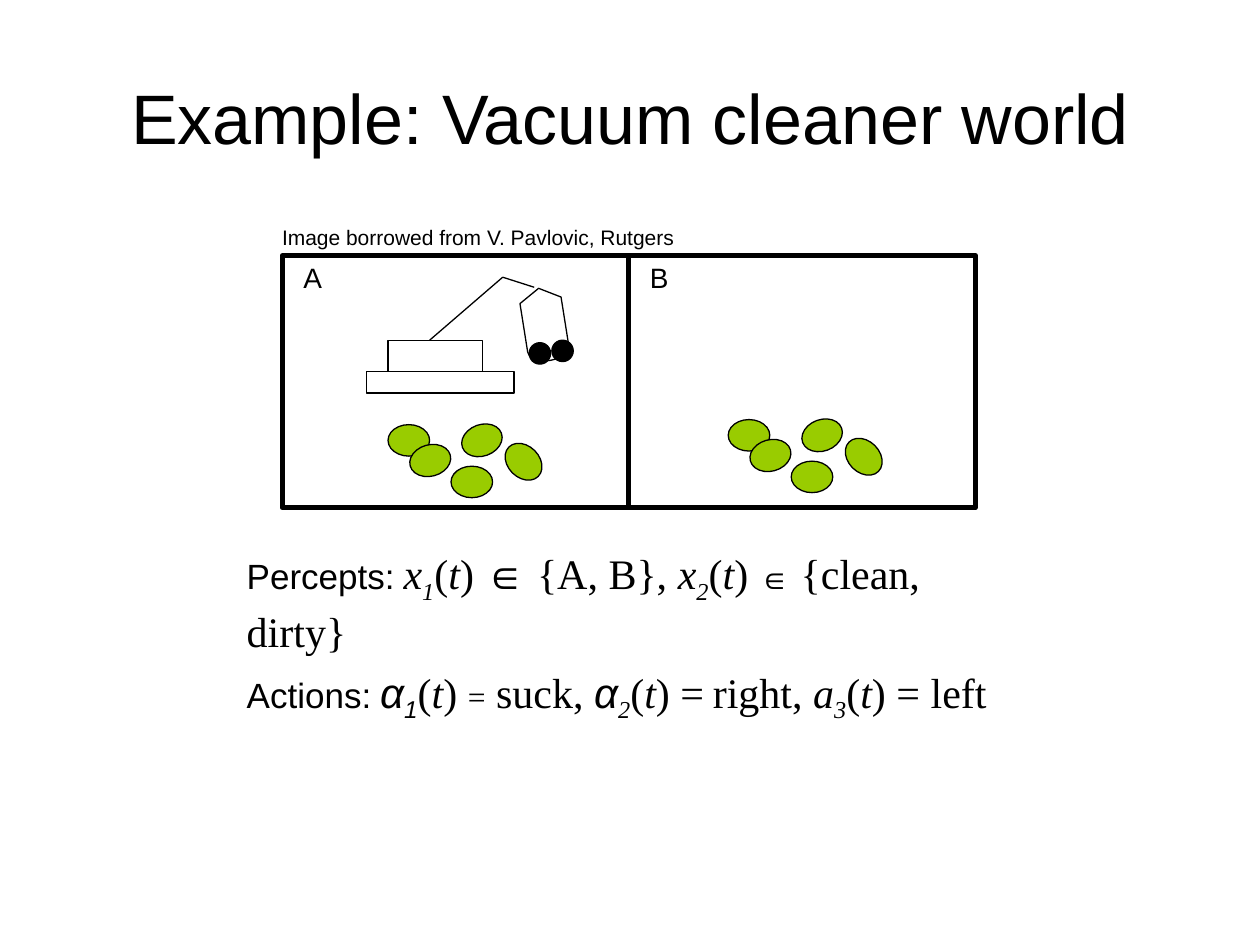
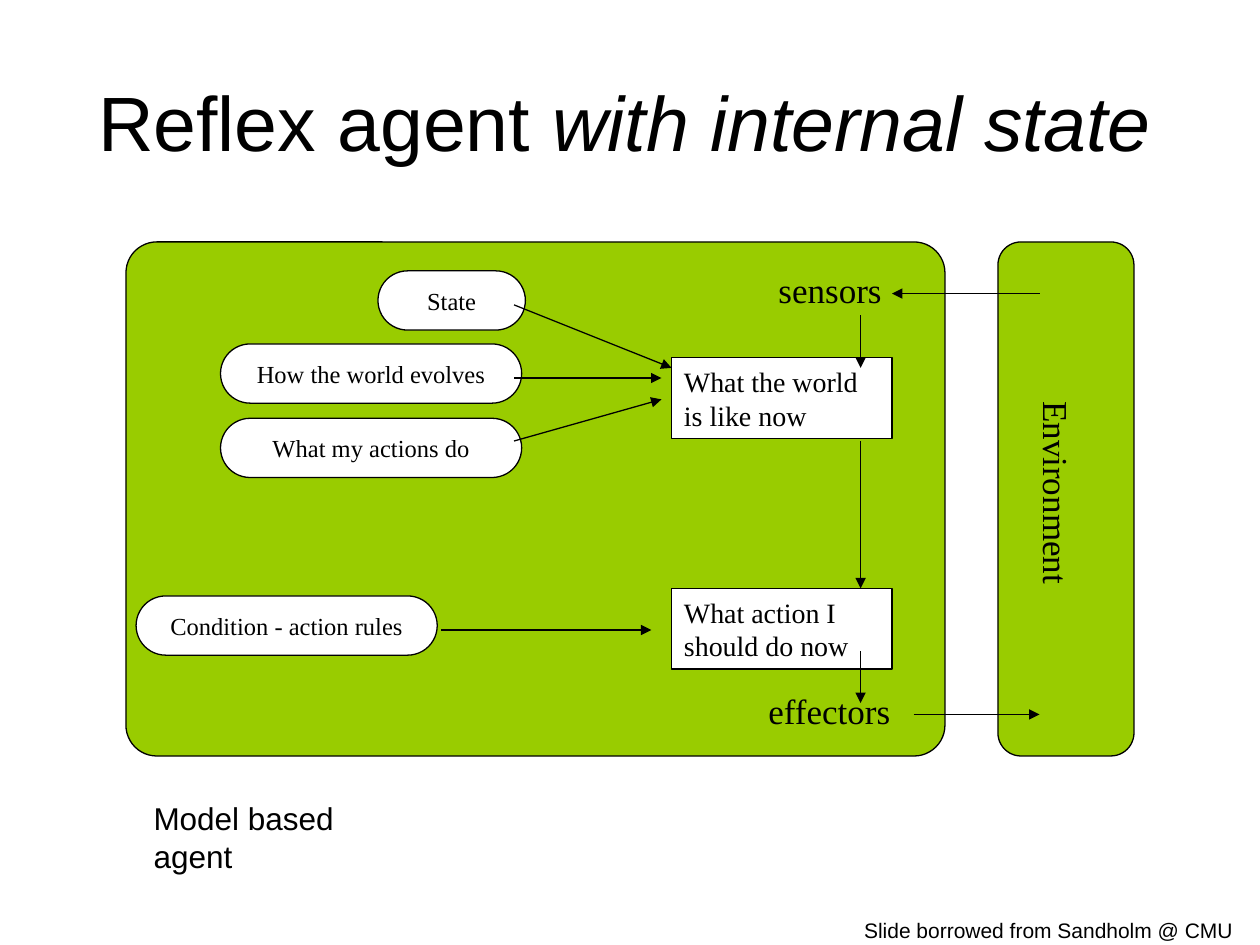
from pptx import Presentation
from pptx.dml.color import RGBColor
from pptx.enum.shapes import MSO_CONNECTOR, MSO_SHAPE
from pptx.enum.text import MSO_ANCHOR, PP_ALIGN
from pptx.oxml.ns import qn
from pptx.util import Inches, Pt
from lxml import etree

RECT = MSO_SHAPE.RECTANGLE
ROUND = MSO_SHAPE.ROUNDED_RECTANGLE
OVAL = MSO_SHAPE.OVAL
SCREEN = MSO_SHAPE.FLOWCHART_DISPLAY
STRAIGHT = MSO_CONNECTOR.STRAIGHT
MIDDLE, TOP = MSO_ANCHOR.MIDDLE, MSO_ANCHOR.TOP
LEFT, CENTER = PP_ALIGN.LEFT, PP_ALIGN.CENTER

BLACK, WHITE, GREEN = "000000", "FFFFFF", "99CC00"
SANS, SERIF = "Arial", "Times New Roman"
THIN = 0.75


def style(name, size, italic=False):
    return {"name": name, "size": Pt(size), "italic": italic}


# Run styles of the formulas
STYLES = {
    "label": style(SANS, 20),
    "gap": style(SANS, 18),
    "math": style(SERIF, 24),
    "var": style(SERIF, 24, True),
    "sub": style(SERIF, 24, True),
    "sign": style(SANS, 24),
    "greek": style(SANS, 24, True),
    "greek sub": style(SANS, 24, True),
    "equal": style(SERIF, 18),
}


def color(code):
    return RGBColor.from_string(code)


def place(box):
    return [Inches(v) for v in box]


def write(para, text, look, sub=False):
    run = para.add_run()
    run.text = text
    for key, value in look.items():
        setattr(run.font, key, value)
    run.font.color.rgb = color(BLACK)
    if sub:
        run._r.get_or_add_rPr().set("baseline", "-25000")


def frame(shape, anchor, wrap):
    body = shape.text_frame
    for key, value in {"vertical_anchor": anchor, "word_wrap": wrap}.items():
        setattr(body, key, value)
    return body


def label(slide, box, text, look, wrap=False, turn=0):
    shape = slide.shapes.add_textbox(*place(box))
    shape.rotation = turn
    write(frame(shape, TOP, wrap).paragraphs[0], text, look)


def title(slide, box, runs):
    shape = slide.shapes.add_textbox(*place(box))
    para = frame(shape, MIDDLE, True).paragraphs[0]
    para.alignment = CENTER
    for text, look in runs:
        write(para, text, look)


def draw(slide, kind, box, fill=None, width=THIN, turn=0, round=None):
    shape = slide.shapes.add_shape(kind, *place(box))
    shape.shadow.inherit = False
    shape.rotation = turn
    if round is not None:
        shape.adjustments[0] = round
    if fill:
        shape.fill.solid()
        shape.fill.fore_color.rgb = color(fill)
    else:
        shape.fill.background()
    shape.line.color.rgb = color(BLACK)
    shape.line.width = Pt(width)
    return shape


def line(slide, start, end, arrow=True):
    link = slide.shapes.add_connector(STRAIGHT, *place(start + end))
    link.line.color.rgb = color(BLACK)
    link.line.width = Pt(THIN)
    if arrow:
        tip = etree.SubElement(link.line._get_or_add_ln(), qn("a:tailEnd"))
        tip.set("type", "triangle")
    etree.SubElement(link._element.spPr, qn("a:effectLst"))


def node(slide, kind, box, text, size, align, round=None):
    shape = draw(slide, kind, box, WHITE, round=round)
    para = frame(shape, MIDDLE, True).paragraphs[0]
    para.alignment = align
    write(para, text, style(SERIF, size))


def dirt(slide, left, top):
    eggs = [(0, 0, 0), (0.17, 0.16, 344.8), (0.58, 0, 339.9),
            (0.91, 0.17, 45), (0.5, 0.33, 0)]
    for x, y, turn in eggs:
        draw(slide, OVAL, (left + x, top + y, 0.33, 0.25), GREEN, turn=turn)


def robot(slide):
    draw(slide, RECT, (2.91, 2.95, 1.17, 0.17))
    draw(slide, RECT, (3.08, 2.7, 0.75, 0.25))
    draw(slide, SCREEN, (4.03, 2.41, 0.58, 0.33), turn=81)
    line(slide, (3.41, 2.7), (3.99, 2.2), arrow=False)
    line(slide, (3.99, 2.2), (4.24, 2.28), arrow=False)
    for left, top in [(4.2, 2.72), (4.38, 2.7)]:
        draw(slide, OVAL, (left, top, 0.17, 0.17), BLACK)


def facts(slide, box, rows):
    body = frame(slide.shapes.add_textbox(*place(box)), TOP, True)
    for i, row in enumerate(rows):
        para = body.add_paragraph() if i else body.paragraphs[0]
        if i:
            para.space_before = Pt(6)
        for text, key in row:
            write(para, text, STYLES[key], key.endswith("sub"))


def of_t(symbol, index, kind="var", sub="sub"):
    return [(symbol, kind), (index, sub), ("(", "math"), ("t", "var")]


def vacuum(slide):
    title(slide, (0.5, 0.3, 9, 1.25),
          [("Example: Vacuum cleaner world", style(SANS, 40))])

    # Two rooms with dirt and the cleaner
    for i, name in enumerate("AB"):
        left = 2.24 + 2.75 * i
        draw(slide, RECT, (left, 2.03, 2.75, 2), width=3)
        label(slide, (left + 0.07, 2.02, 0.35, 0.37), name, style(SANS, 16))
        dirt(slide, 3.08 + 2.7 * i, 3.37 - 0.04 * i)
    robot(slide)
    label(slide, (2.14, 1.73, 3.33, 0.3),
          "Image borrowed from V. Pavlovic, Rutgers", style(SANS, 12))

    # Percepts and actions
    percepts = [("Percepts:", "label"), (" ", "gap"), *of_t("x", "1"),
                (") ", "math"), ("∈", "sign"), (" {A, B}, ", "math"),
                *of_t("x", "2"), (") ", "math"), ("∈", "gap"),
                (" {clean, dirty}", "math")]
    actions = [("Actions:", "label"), (" ", "gap"),
               *of_t("α", "1", "greek", "greek sub"), (") ", "math"),
               ("=", "equal"), (" suck, ", "math"),
               *of_t("α", "2", "greek"), (") =", "math"), (" ", "gap"),
               ("right, ", "math"), *of_t("a", "3"), (") = left", "math")]
    facts(slide, (1.86, 4.3, 6.25, 1.1), [percepts, actions])


def reflex(slide):
    title(slide, (0.5, 0.33, 8.92, 1.25),
          [("Reflex agent ", style(SANS, 44)),
           ("with internal state", style(SANS, 44, True))])

    # Agent and environment
    draw(slide, ROUND, (1, 1.92, 6.5, 4.08), GREEN, round=0.06)
    draw(slide, ROUND, (7.92, 1.92, 1.08, 4.08), GREEN, round=0.17)
    big = style(SERIF, 20)
    label(slide, (6.08, 2.08, 1.02, 0.44), "sensors", big)
    label(slide, (6, 5.42, 1.33, 0.44), "effectors", big, wrap=True)
    label(slide, (7.56, 3.69, 1.65, 0.44), "Environment", big, turn=90)

    # Steps and knowledge
    for top, text in [(2.84, "What the world is like now"),
                      (4.67, "What action I should do now")]:
        node(slide, RECT, (5.33, top, 1.75, 0.64), text, 16, LEFT)
    pills = [(3, 2.15, 1.17, "State"),
             (1.75, 2.73, 2.39, "How the world evolves"),
             (1.75, 3.32, 2.39, "What my actions do"),
             (1.08, 4.73, 2.39, "Condition - action rules")]
    for left, top, width, text in pills:
        node(slide, ROUND, (left, top, width, 0.47), text, 14, CENTER, 0.5)

    # Arrows
    for start, end in [((6.83, 2.5), (6.83, 2.92)),
                       ((6.83, 3.5), (6.83, 4.67)),
                       ((6.83, 5.17), (6.83, 5.58)),
                       ((3.5, 5), (5.17, 5)),
                       ((8.25, 2.33), (7.08, 2.33)),
                       ((7.25, 5.67), (8.25, 5.67)),
                       ((4.08, 2.42), (5.33, 2.92)),
                       ((4.08, 3), (5.25, 3)),
                       ((4.08, 3.5), (5.25, 3.17))]:
        line(slide, start, end)

    # Captions
    label(slide, (6.76, 7.23, 3.13, 0.3),
          "Slide borrowed from Sandholm @ CMU", style(SANS, 12))
    label(slide, (1.12, 6.29, 2.32, 0.4), "Model based agent",
          style(SANS, 18))


def main():
    deck = Presentation()
    deck.slide_width, deck.slide_height = Inches(10), Inches(7.5)
    for build in (vacuum, reflex):
        build(deck.slides.add_slide(deck.slide_layouts[6]))
    deck.save("out.pptx")


if __name__ == "__main__":
    main()
